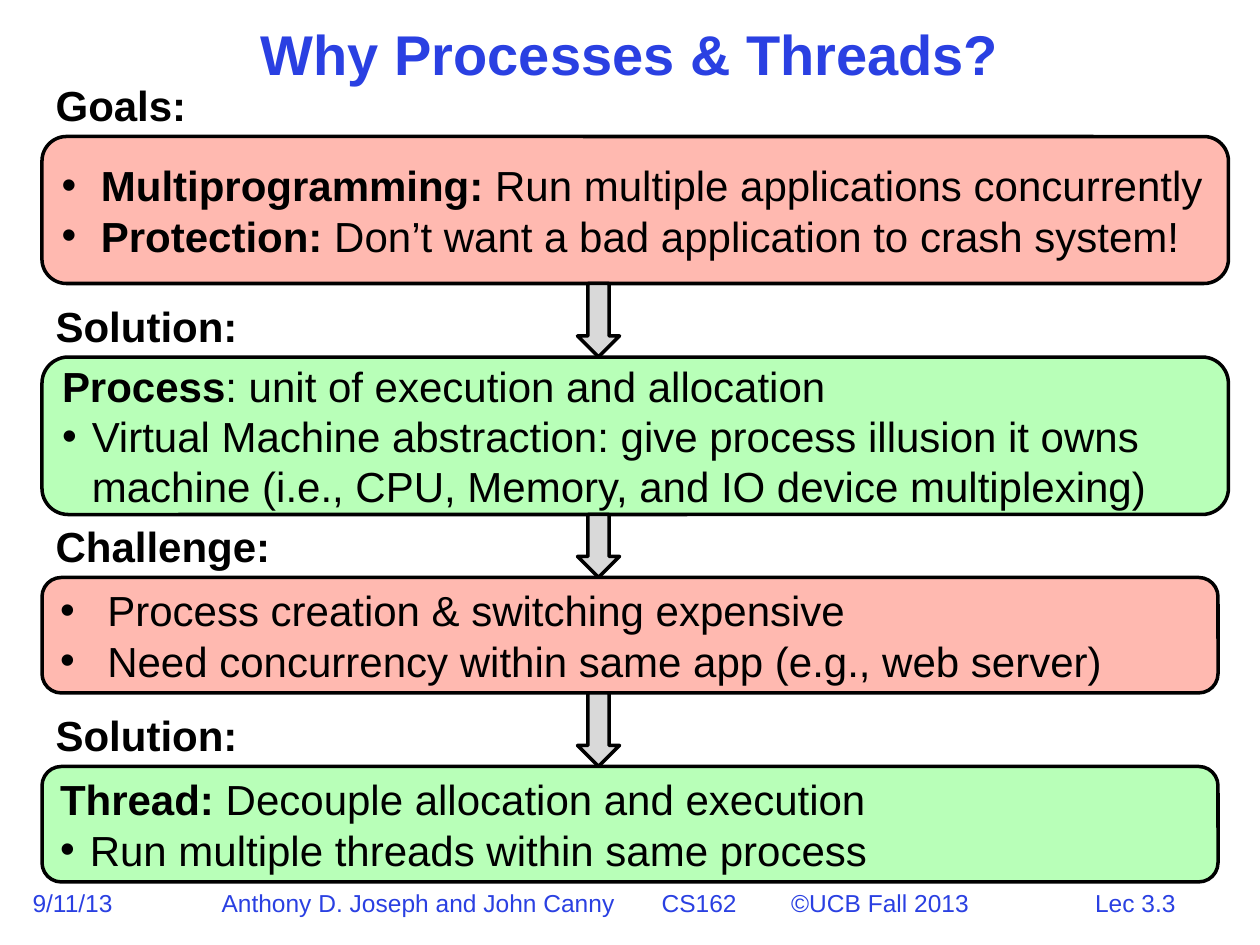
from dataclasses import dataclass
from lxml.etree import SubElement
from pptx import Presentation
from pptx.dml.color import RGBColor
from pptx.enum.shapes import MSO_SHAPE as Preset
from pptx.enum.text import MSO_ANCHOR as Anchor, PP_ALIGN as Align
from pptx.oxml.ns import qn
from pptx.util import Pt


@dataclass(frozen=True)
class Theme:
    """Colours, font and type sizes of the slide."""
    blue: str = "2A40E2"
    black: str = "000000"
    pink: str = "FFB9B0"
    green: str = "B8FFB8"
    grey: str = "D9D9D9"
    font: str = "Arial"
    title: int = 32
    body: int = 24
    footer: int = 14


THEME = Theme()

STAGES = [
    dict(label="Goals:", top=78, height=84, width=678, fill=THEME.pink,
         paragraphs=[
             (22.5, [("Multiprogramming:", True),
                     (" Run multiple applications concurrently", False)]),
             (22.5, [("Protection: ", True),
                     ("Don’t want a bad application to crash system!", False)])]),
    dict(label="Solution:", top=204, height=90, width=678, fill=THEME.green,
         paragraphs=[
             (0, [("Process", True), (": unit of execution and allocation", False)]),
             (17, [("Virtual Machine abstraction: give process illusion it owns "
                    "machine (i.e., CPU, Memory, and IO device multiplexing)", False)])]),
    dict(label="Challenge:", top=330, height=66, width=672, fill=THEME.pink,
         paragraphs=[
             (27, [("Process creation & switching expensive", False)]),
             (27, [("Need concurrency within same app (e.g., web server)", False)])]),
    dict(label="Solution:", top=438, height=66, width=672, fill=THEME.green,
         paragraphs=[
             (0, [("Thread:", True), (" Decouple allocation and execution", False)]),
             (17, [("Run multiple threads within same process", False)])]),
]


def write_text(frame, paragraphs, *, size=THEME.body, color=THEME.black,
               align=Align.LEFT, anchor=Anchor.TOP, wrap=True, spacing=None, tabs=()):
    """Fill a text frame with (bullet indent, [(text, bold)]) paragraphs."""
    frame.word_wrap = wrap
    frame.vertical_anchor = anchor
    for index, (indent, runs) in enumerate(paragraphs):
        paragraph = frame.add_paragraph() if index else frame.paragraphs[0]
        paragraph.alignment = align
        if spacing:
            paragraph.line_spacing = spacing
        properties = paragraph._p.get_or_add_pPr()
        if indent:
            properties.set("marL", str(Pt(indent)))
            properties.set("indent", str(-Pt(indent)))
            SubElement(properties, qn("a:buFont"), typeface=THEME.font)
            SubElement(properties, qn("a:buChar"), char="•")
        if tabs:
            tab_list = SubElement(properties, qn("a:tabLst"))
            for position in tabs:
                SubElement(tab_list, qn("a:tab"), pos=str(Pt(position)), algn="l")
        for text, bold in runs:
            run = paragraph.add_run()
            run.text = text
            run.font.name = THEME.font
            run.font.size = Pt(size)
            run.font.bold = bold
            run.font.color.rgb = RGBColor.from_string(color)


def add_text(slide, text, left, top, width, height, bold=False, **text_format):
    """Add a one-paragraph text box."""
    box = slide.shapes.add_textbox(Pt(left), Pt(top), Pt(width), Pt(height))
    write_text(box.text_frame, [(0, [(text, bold)])], **text_format)


def add_outlined(slide, preset, left, top, width, height, fill):
    """Add a filled preset shape with a black outline."""
    shape = slide.shapes.add_shape(preset, Pt(left), Pt(top), Pt(width), Pt(height))
    shape.shadow.inherit = False
    shape.fill.solid()
    shape.fill.fore_color.rgb = RGBColor.from_string(fill)
    shape.line.color.rgb = RGBColor.from_string(THEME.black)
    shape.line.width = Pt(2)
    return shape


def add_stage(slide, left, top, width, height, label, fill, paragraphs):
    """Add a rounded panel with its heading just above it."""
    panel = add_outlined(slide, Preset.ROUNDED_RECTANGLE, left, top, width, height, fill)
    write_text(panel.text_frame, paragraphs, anchor=Anchor.MIDDLE)
    add_text(slide, label, left + 0.7, top - 36, 140, 36, bold=True, wrap=False)


def add_stages(slide, left):
    """Stack the stages and bridge each gap with a down arrow."""
    for stage in STAGES:
        add_stage(slide, left, **stage)
    for upper, lower in zip(STAGES, STAGES[1:]):
        bottom = upper["top"] + upper["height"]
        add_outlined(slide, Preset.DOWN_ARROW, left + 306, bottom, 24,
                     lower["top"] - bottom, THEME.grey)


def add_footer(slide, left, top):
    """Add the date, course line and page number."""
    style = dict(size=THEME.footer, color=THEME.blue)
    add_text(slide, "9/11/13", left, top, 62, 24, wrap=False, **style)
    add_text(slide, "Anthony D. Joseph and John Canny\tCS162\t©UCB Fall 2013",
             left + 108, top, 450, 24, tabs=(251.5, 325.5), **style)
    add_text(slide, "Lec 3.3", left + 579, top, 116.6, 24, align=Align.CENTER, **style)


def main():
    """Build and save the slide."""
    presentation = Presentation()
    presentation.slide_width, presentation.slide_height = Pt(720), Pt(540)
    slide = presentation.slides.add_slide(presentation.slide_layouts[6])
    add_text(slide, "Why Processes & Threads?", 78, 12, 564, 42, bold=True,
             size=THEME.title, color=THEME.blue, align=Align.CENTER,
             anchor=Anchor.MIDDLE, spacing=0.9)
    add_stages(slide, 24)
    add_footer(slide, 11.5, 504)
    presentation.save("out.pptx")


if __name__ == "__main__":
    main()
